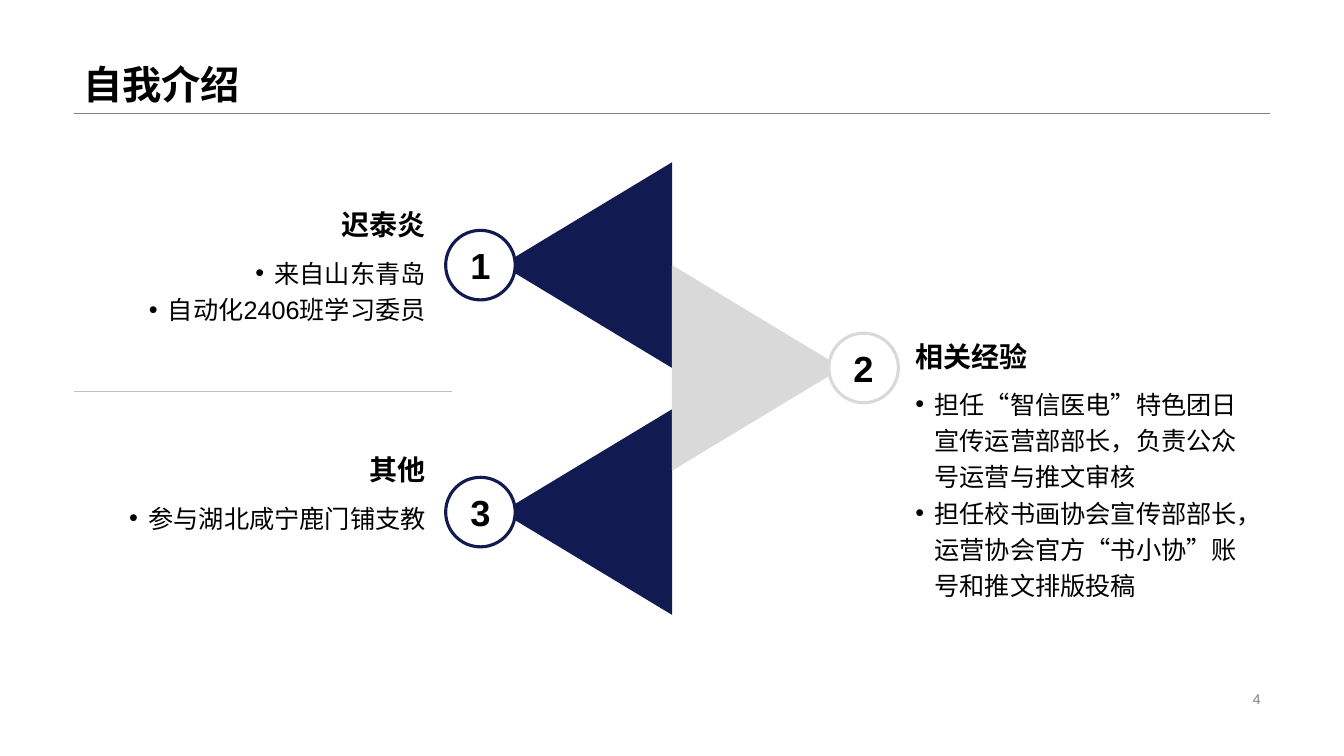
from lxml.etree import SubElement
from pptx import Presentation
from pptx.dml.color import RGBColor
from pptx.enum.lang import MSO_LANGUAGE_ID as Lang
from pptx.enum.shapes import MSO_CONNECTOR as Connector, MSO_SHAPE as Shape
from pptx.enum.text import MSO_ANCHOR as Anchor, PP_ALIGN as Align
from pptx.oxml.ns import qn
from pptx.util import Inches, Pt

COLORS = {"navy": "111A51", "silver": "D9D9D9", "white": "FFFFFF", "black": "000000",
          "rule": "808080", "divider": "BFBFBF"}
WIDTH, HEIGHT = 13.33, 7.5
LEFT, RIGHT = 0.73, 12.6
MIDDLE = WIDTH / 2
TRIANGLE_BASE, TRIANGLE_DEPTH = 2.04, 1.69
CIRCLE_SIZE, CIRCLE_OFFSET = 0.69, 1.9
HEADING_HEIGHT, BODY_HEIGHT = 0.42, 0.79
LEFT_COLUMN, RIGHT_COLUMN = (LEFT, 3.59), (8.98, 3.62)

# number, colour, side (-1 left, 1 right), centre of the row, top of the bullets, heading, bullets
SECTIONS = [
    ("1", "navy", -1, 2.63, 2.45, "迟泰炎", ["来自山东青岛", "自动化2406班学习委员"]),
    ("3", "navy", -1, 5.08, 4.88, "其他", ["参与湖北咸宁鹿门铺支教"]),
    ("2", "silver", 1, 3.65, 3.75, "相关经验", [
        "担任“智信医电”特色团日宣传运营部部长，负责公众号运营与推文审核",
        "担任校书画协会宣传部部长，运营协会官方“书小协”账号和推文排版投稿"]),
]


def rgb(name):
    return RGBColor.from_string(COLORS[name])


def add_bullet(para):
    properties = para._p.get_or_add_pPr()
    properties.set("marL", str(Inches(0.19)))
    properties.set("indent", str(-Inches(0.19)))
    SubElement(properties, qn("a:buFont")).set("typeface", "Arial")
    SubElement(properties, qn("a:buChar")).set("char", "•")


def write(frame, lines, size, color="black", bold=False, align=Align.LEFT,
          anchor=Anchor.TOP, spacing=None, bullets=False):
    frame.word_wrap = True
    frame.vertical_anchor = anchor
    for index, line in enumerate(lines):
        para = frame.add_paragraph() if index else frame.paragraphs[0]
        para.alignment = align
        if spacing:
            para.line_spacing = spacing
        if bullets:
            add_bullet(para)
        span = para.add_run()
        span.text = line
        font = span.font
        font.name, font.size, font.bold = "Arial", Pt(size), bold
        font.color.rgb = rgb(color)
        font.language_id = Lang.SIMPLIFIED_CHINESE


def add_text(page, left, top, width, height, lines, **style):
    box = page.shapes.add_textbox(Inches(left), Inches(top), Inches(width), Inches(height))
    write(box.text_frame, lines, **style)


def add_rule(page, left, right, top, color):
    rule = page.shapes.add_connector(Connector.STRAIGHT, Inches(left), Inches(top),
                                     Inches(right), Inches(top))
    rule.line.color.rgb = rgb(color)
    rule.line.width = Pt(0.25)
    SubElement(rule._element.spPr, qn("a:effectLst"))


def add_centred_shape(page, kind, x, y, width, height, fill):
    shape = page.shapes.add_shape(kind, Inches(x - width / 2), Inches(y - height / 2),
                                  Inches(width), Inches(height))
    shape.shadow.inherit = False
    shape.fill.solid()
    shape.fill.fore_color.rgb = rgb(fill)
    shape.line.fill.background()
    return shape


def add_triangle(page, side, y, color):
    """Add a triangle that stands on the page's middle axis and points to its side."""
    triangle = add_centred_shape(page, Shape.ISOSCELES_TRIANGLE,
                                 MIDDLE + side * TRIANGLE_DEPTH / 2, y,
                                 TRIANGLE_BASE, TRIANGLE_DEPTH, color)
    triangle.rotation = side * 90 % 360


def add_number(page, number, side, y, color):
    circle = add_centred_shape(page, Shape.OVAL, MIDDLE + side * CIRCLE_OFFSET, y,
                               CIRCLE_SIZE, CIRCLE_SIZE, "white")
    circle.line.color.rgb = rgb(color)
    circle.line.width = Pt(2.25)
    frame = circle.text_frame
    frame.margin_left = frame.margin_right = frame.margin_top = frame.margin_bottom = 0
    write(frame, [number], size=25.9, bold=True, align=Align.CENTER, anchor=Anchor.MIDDLE)


def add_section(page, number, color, side, y, body_top, heading, bullets):
    left, width = LEFT_COLUMN if side < 0 else RIGHT_COLUMN
    align = Align.RIGHT if side < 0 else Align.LEFT
    add_triangle(page, side, y, color)
    add_text(page, left, body_top - HEADING_HEIGHT, width, HEADING_HEIGHT, [heading],
             size=20, bold=True, align=align, anchor=Anchor.BOTTOM, spacing=0.9)
    add_text(page, left, body_top, width, BODY_HEIGHT, bullets,
             size=18, align=align, spacing=1.2, bullets=True)
    add_number(page, number, side, y, color)


def main():
    deck = Presentation()
    deck.slide_width, deck.slide_height = Inches(WIDTH), Inches(HEIGHT)
    page = deck.slides.add_slide(deck.slide_layouts[6])
    add_rule(page, LEFT, RIGHT, 1.12, "rule")
    add_text(page, LEFT, 0, RIGHT - LEFT, 1.12, ["自我介绍"], size=28, bold=True,
             anchor=Anchor.BOTTOM, spacing=0.9)
    add_rule(page, LEFT, 4.48, 3.88, "divider")
    for section in SECTIONS:
        add_section(page, *section)
    add_text(page, 9.42, 6.82, RIGHT - 9.42, 0.23, ["4"], size=10, color="rule",
             align=Align.RIGHT, anchor=Anchor.MIDDLE)
    deck.save("out.pptx")


if __name__ == "__main__":
    main()
